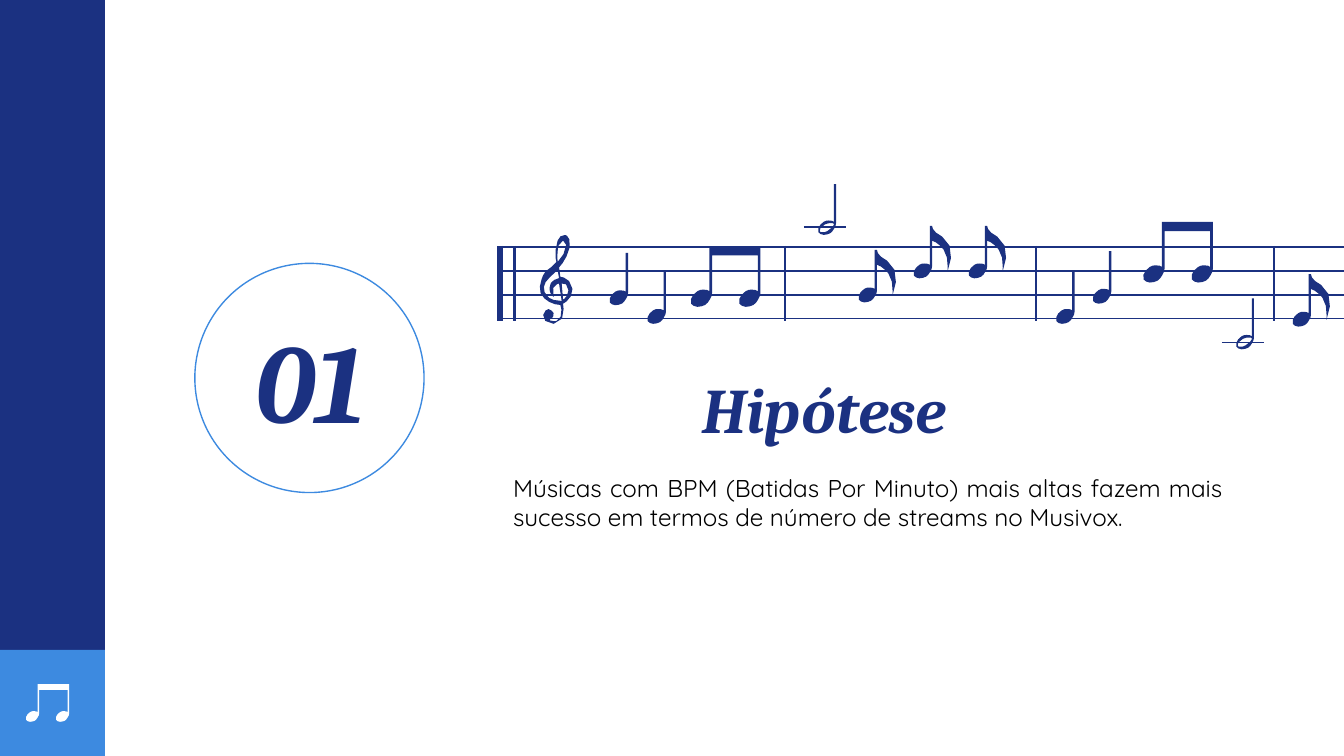
import math
from typing import NamedTuple

import pptx
import pptx.dml.color
import pptx.enum.shapes
import pptx.enum.text
import pptx.util
from lxml import etree

Pt = pptx.util.Pt
RGB = pptx.dml.color.RGBColor
Kind = pptx.enum.shapes.MSO_SHAPE
Align = pptx.enum.text.PP_ALIGN
Anchor = pptx.enum.text.MSO_ANCHOR

NAVY = RGB(0x1B, 0x31, 0x81)
BLUE = RGB(0x3D, 0x8A, 0xE0)
WHITE = RGB(0xFF, 0xFF, 0xFF)
BLACK = RGB(0, 0, 0)

UNIT = 0.72  # points per glyph unit

# Glyph outlines: M move, L line, C curve, c relative curve, Z close
BULB = (" c -.8 -.7 -1.8 -1 -3.8 -1 c -1 0 -3 0 -4 1 c -3 2 -5 5 -4 8"
        " c 1 1 2 2 4 2 c 2 0 3.5 -.5 5 -1.2 c 1.2 -.8 2.3 -2 3 -3.5"
        " c 1 -1.5 1.5 -3 1.5 -4.3")
HEAD = "M 12.8 0 L 12.8 29" + BULB
FOURTH = HEAD + " L 14.5 0 Z"
EIGHTH = HEAD + (" L 14.5 11 C 17.5 12 20 14 23 17.5 C 27 21.5 26 34 26 34"
                 " C 30 24 30 13 22 8 C 16 5 14.5 2 14.5 0 Z")
HALF = FOURTH + (" M 11 30 C 12 30 13 30 13 31 C 13 32 11 34 8 36"
                 " C 7 37 5 37 4 37 C 3 37 2 37 2 36 C 1 35 3 33 6 31"
                 " C 8 30 9 30 11 30 Z")
BEAM = HEAD + " L 14.5 6 L 43.8 6 L 43.8 29" + BULB + " L 45.5 0 Z"
CLEF = ("M 19 0 C 17 0 15 1 14 4 C 11 11 13 20 13 20 C 13 21 9 23 9 24"
        " C 8 25 6 26 5 27 C 4 29 2 31 2 33 C 0 38 0 44 4 47"
        " C 7 50 12 52 16 52 C 17 53 18 63 13 64 C 12 64 11 64 11 64"
        " C 8 64 8 63 8 63 C 10 62 12 60 11 58 C 10 57 9 55 7 55"
        " C 7 55 6 56 5 56 C 2 58 2 66 11 66 C 21 66 18 51 18 51"
        " C 19 51 26 46 25 40 C 24 32 17 31 16 31 L 15 24"
        " C 17 22 21 17 23 9 C 24 1 20 0 20 0 Z"
        " M 18 4 C 23 4 19 16 14 20 C 14 20 12 4 18 4 Z"
        " M 17 36 C 19 36 22 36 22 41 C 22 46 18 48 18 48 Z"
        " M 14 26 L 15 32 C 11 33 8 35 8 39 C 8 41 8 42 9 44"
        " C 9 44 10 45 10 45 C 11 45 11 46 11 46 C 8 37 15 36 15 36"
        " L 17 49 C 9 49 7 46 7 46 C 3 43 3 38 5 35 C 7 32 14 26 14 26 Z")


class Glyph(NamedTuple):
    form: str
    left: float
    top: float
    scale: float = 1
    color: RGB = NAVY


class Rule(NamedTuple):
    x1: float
    y1: float
    x2: float
    y2: float
    width: float = 0.75


class Box(NamedTuple):
    left: float
    top: float
    width: float
    height: float


def trace(form: str) -> list[list[tuple[float, float]]]:
    """Turn a glyph outline into closed runs of points."""
    runs, marks = [], iter(form.split())
    for mark in marks:
        if mark == "Z":
            continue
        count = 6 if mark in "Cc" else 2
        nums = [float(next(marks)) for _ in range(count)]
        ends = list(zip(nums[::2], nums[1::2]))
        if mark == "M":
            runs.append(ends)
        elif mark == "L":
            runs[-1] += ends
        else:
            a = runs[-1][-1]
            if mark == "c":
                ends = [(a[0] + x, a[1] + y) for x, y in ends]
            b, c, d = ends
            span = math.dist(a, d)
            steps = 1 + (span > 2) + (span > 8)  # long curves get more points
            for t in (i / steps for i in range(1, steps + 1)):
                u = 1 - t
                runs[-1].append(tuple(
                    u**3 * a[k] + 3 * u * u * t * b[k]
                    + 3 * u * t * t * c[k] + t**3 * d[k] for k in (0, 1)))
    return runs


def add_glyph(shapes, glyph: Glyph) -> None:
    size = UNIT * glyph.scale
    pen = None
    for run in trace(glyph.form):
        spots = [(Pt(glyph.left + x * size), Pt(glyph.top + y * size))
                 for x, y in run]
        if pen is None:
            pen = shapes.build_freeform(*spots[0])
        else:
            pen.move_to(*spots[0])
        pen.add_line_segments(spots[1:], close=True)
    style(pen.convert_to_shape(), fill=glyph.color)


def add_rule(shapes, rule: Rule) -> None:
    ends = map(Pt, rule[:4])
    line = shapes.add_connector(pptx.enum.shapes.MSO_CONNECTOR.STRAIGHT, *ends)
    line.line.color.rgb = NAVY
    line.line.width = Pt(rule.width)
    etree.SubElement(line._element.spPr, pptx.oxml.ns.qn("a:effectLst"))


def style(shape, fill: RGB | None = None, line: RGB | None = None) -> None:
    shape.shadow.inherit = False
    if fill is None:
        shape.fill.background()
    else:
        shape.fill.solid()
        shape.fill.fore_color.rgb = fill
    if line is None:
        shape.line.fill.background()
    else:
        shape.line.color.rgb = line
        shape.line.width = Pt(0.75)


def add_shape(shapes, kind: Kind, box: Box, **look) -> None:
    style(shapes.add_shape(kind, *map(Pt, box)), **look)


def add_text(shapes, text: str, box: Box, *, size: float, font: str = "Cambria",
             color: RGB = NAVY, bold: bool = True, slant: bool = True,
             align: Align = Align.CENTER, anchor: Anchor = Anchor.MIDDLE) -> None:
    frame = shapes.add_textbox(*map(Pt, box)).text_frame
    frame.word_wrap = True
    frame.vertical_anchor = anchor
    frame.margin_left = frame.margin_right = Pt(7.2)
    frame.margin_top = frame.margin_bottom = Pt(7.2)
    para = frame.paragraphs[0]
    para.alignment = align
    run = para.add_run()
    run.text = text
    run.font.name, run.font.size = font, Pt(size)
    run.font.bold, run.font.italic = bold, slant
    run.font.color.rgb = color


def main() -> None:
    deck = pptx.Presentation()
    deck.slide_width, deck.slide_height = Pt(720), Pt(405)
    shapes = deck.slides.add_slide(deck.slide_layouts[6]).shapes

    # Side band and number ring
    add_shape(shapes, Kind.RECTANGLE, Box(-0.5, 0, 56.75, 405), fill=NAVY)
    add_shape(shapes, Kind.RECTANGLE, Box(-0.5, 348.25, 56.75, 56.75), fill=BLUE)
    add_shape(shapes, Kind.OVAL, Box(104.4, 141.1, 122.8, 122.8), line=BLUE)

    # Headings
    add_text(shapes, "Hipótese ", Box(268.6, 187.2, 353.5, 63.4), size=34)
    add_text(shapes, "01", Box(117.4, 166.3, 97.2, 72.7), size=60)

    # Staff, bar lines and ledger lines
    staff = [Rule(268, 132.4 + 12.8 * i, 720, 132.4 + 12.8 * i) for i in range(4)]
    bars = [Rule(x, 131.8, x, 172.1, width) for x, width in
            ((267.8, 3), (275.8, 1.5), (420.5, 0.75), (555.1, 0.75), (682.6, 0.75))]
    ledgers = [Rule(x, y, x + 22.8, y) for x, y in ((430.6, 121.7), (654.6, 183.6))]
    for rule in staff + bars + ledgers:
        add_rule(shapes, rule)

    # Clef, notes and corner icon
    for glyph in (
        Glyph(CLEF, 288.7, 126),
        Glyph(FOURTH, 326, 135.4),
        Glyph(FOURTH, 346.3, 145.4),
        Glyph(BEAM, 369.4, 131.8, 1.16),
        Glyph(HALF, 437.8, 98.6, 0.97),
        Glyph(EIGHTH, 459.4, 133.9),
        Glyph(EIGHTH, 488.9, 121),
        Glyph(EIGHTH, 518.4, 121),
        Glyph(FOURTH, 565.2, 145.4),
        Glyph(FOURTH, 584.9, 134.6),
        Glyph(BEAM, 611.8, 118.8, 1.16),
        Glyph(HALF, 661.7, 159.9, 0.97),
        Glyph(EIGHTH, 691.9, 146.9),
        Glyph(BEAM, 13.5, 366.5, 0.72, WHITE),
    ):
        add_glyph(shapes, glyph)

    # Hypothesis
    add_text(shapes, "Músicas com BPM (Batidas Por Minuto) mais altas fazem mais "
             "sucesso em termos de número de streams no Musivox.",
             Box(267.8, 246.2, 393.8, 50.4), size=13, font="Quicksand", color=BLACK,
             bold=False, slant=False, align=Align.JUSTIFY, anchor=Anchor.TOP)

    deck.save("out.pptx")


if __name__ == "__main__":
    main()
